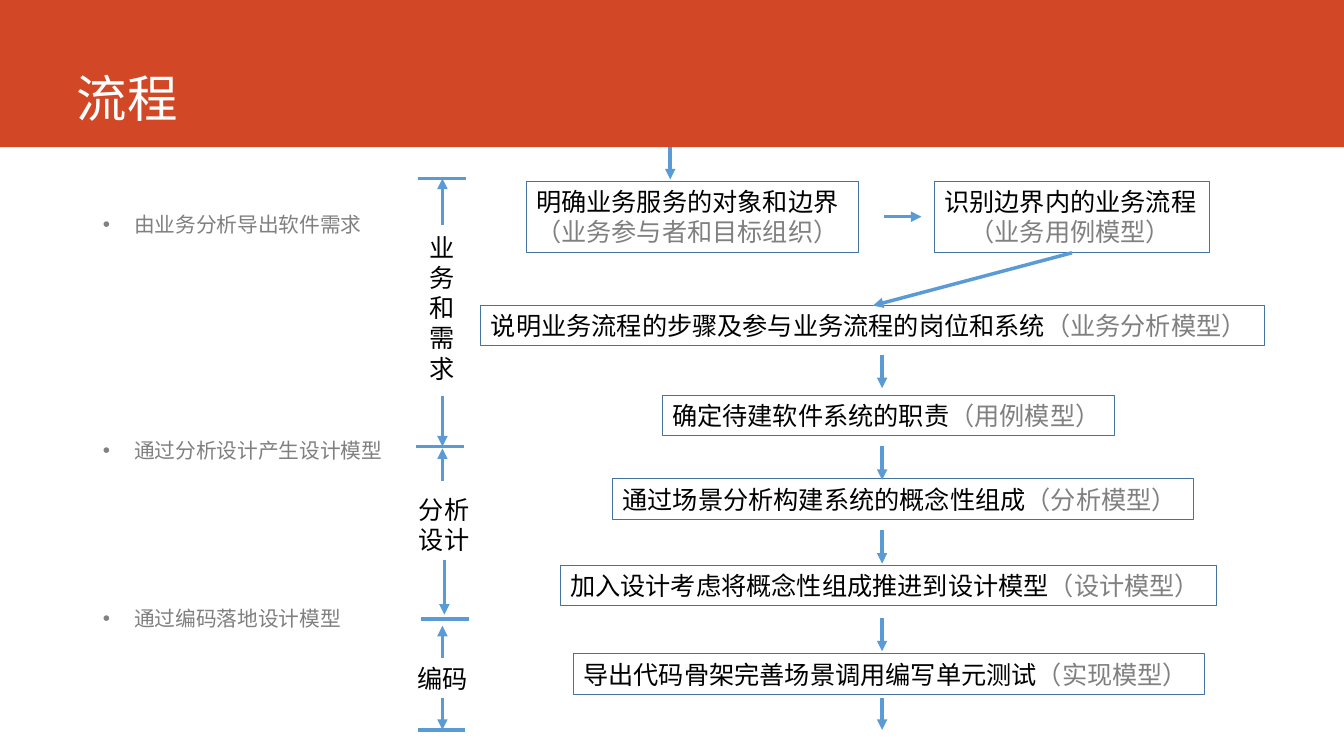
"""Build the slide that shows the process from business analysis to coding."""
from lxml import etree
from pptx import Presentation
from pptx.dml.color import RGBColor
from pptx.enum import shapes, text
from pptx.oxml import ns
from pptx.util import Cm, Pt

COLOURS = {"banner": "D24726", "title": "FFFFFF", "muted": "808080",
           "ink": "000000", "outline": "43739E", "arrow": "5B9BD5"}
CJK = "Noto Sans CJK SC"
FIT = {"word_wrap": False, "auto_size": text.MSO_AUTO_SIZE.SHAPE_TO_FIT_TEXT,
       "vertical_anchor": text.MSO_ANCHOR.TOP}


def write(paragraph, wording, colour, size, latin, east_asian):
    run = paragraph.add_run()
    run.text = wording
    run.font.size = Pt(size)
    run.font.color.rgb = RGBColor.from_string(COLOURS[colour])
    run.font.name = latin
    etree.SubElement(run.font._element, ns.qn("a:ea"), typeface=east_asian)


def draw_line(x1, y1, x2, y2, arrow=True):
    line = slide.shapes.add_connector(
        shapes.MSO_CONNECTOR.STRAIGHT, Cm(x1), Cm(y1), Cm(x2), Cm(y2))
    line.line.color.rgb = RGBColor.from_string(COLOURS["arrow"])
    line.line.width = Pt(2.5)
    if arrow:
        etree.SubElement(line.line._get_or_add_ln(), ns.qn("a:tailEnd"), type="triangle")
    etree.SubElement(line._element.spPr, ns.qn("a:effectLst"))
    return line


deck = Presentation()
deck.slide_width, deck.slide_height = Cm(33.87), Cm(19.05)
slide = deck.slides.add_slide(deck.slide_layouts[1])
title, goals = slide.placeholders

banner = slide.shapes.add_shape(
    shapes.MSO_SHAPE.RECTANGLE, 0, 0, deck.slide_width, Cm(3.71))
banner.shadow.inherit = False
banner.fill.solid()
banner.fill.fore_color.rgb = RGBColor.from_string(COLOURS["banner"])
banner.line.fill.background()
title._element.addprevious(banner._element)

for part, box, anchor in (
    (title, (1.68, 0, 29.87, 3.35), text.MSO_ANCHOR.BOTTOM),
    (goals, (2.34, 5.08, 13.54, 12.34), text.MSO_ANCHOR.TOP),
):
    part.left, part.top, part.width, part.height = map(Cm, box)
    part.text_frame.vertical_anchor = anchor
    part.text_frame.auto_size = text.MSO_AUTO_SIZE.NONE

heading = title.text_frame.paragraphs[0]
heading.alignment = text.PP_ALIGN.LEFT
write(heading, "流程", "title", 36, CJK, CJK)

goals.text_frame.margin_top = Cm(0.25)
for index, (goal, gap) in enumerate((
    ("由业务分析导出软件需求", 0),
    ("通过分析设计产生设计模型", 144),
    ("通过编码落地设计模型", 102),
)):
    frame = goals.text_frame
    item = frame.add_paragraph() if index else frame.paragraphs[0]
    item.line_spacing = 1.0
    item.space_before, item.space_after = Pt(gap), Pt(0)
    properties = item._p.get_or_add_pPr()
    properties.set("marL", str(Cm(0.79)))
    properties.set("indent", str(Cm(-0.79)))
    etree.SubElement(properties, ns.qn("a:buFont"), typeface="Arial")
    etree.SubElement(properties, ns.qn("a:buChar"), char="•")
    write(item, goal, "muted", 14.8, CJK, CJK)

steps = []
for left, top, width, height, action, model in (
    (13.26, 4.57, 8.38, 1.8, "明确业务服务的对象和边界", "（业务参与者和目标组织）"),
    (23.55, 4.57, 6.93, 1.8, "识别边界内的业务流程", "（业务用例模型）"),
    (12.12, 7.7, 19.76, 1.02, "说明业务流程的步骤及参与业务流程的岗位和系统", "（业务分析模型）"),
    (16.69, 9.96, 11.4, 1.02, "确定待建软件系统的职责", "（用例模型）"),
    (15.44, 12.07, 14.63, 1.02, "通过场景分析构建系统的概念性组成", "（分析模型）"),
    (14.12, 14.25, 16.54, 1.02, "加入设计考虑将概念性组成推进到设计模型", "（设计模型）"),
    (14.45, 16.48, 15.9, 1.02, "导出代码骨架完善场景调用编写单元测试", "（实现模型）"),
):
    step = slide.shapes.add_shape(
        shapes.MSO_SHAPE.RECTANGLE, Cm(left), Cm(top), Cm(width), Cm(height))
    step.shadow.inherit = False
    step.fill.background()
    step.line.color.rgb = RGBColor.from_string(COLOURS["outline"])
    step.line.width = Pt(0.75)
    for key, value in FIT.items():
        setattr(step.text_frame, key, value)
    action_line = model_line = step.text_frame.paragraphs[0]
    action_line.alignment = text.PP_ALIGN.LEFT
    if height > 1.5:
        model_line = step.text_frame.add_paragraph()
        model_line.alignment = text.PP_ALIGN.CENTER if steps else text.PP_ALIGN.LEFT
    write(action_line, action, "ink", 18, "Lato", "Lato")
    write(model_line, model, "muted", 18, "Lato", "Lato")
    steps.append(step)

draw_line(22.28, 5.46, 23.22, 5.46)
turn = draw_line(27.02, 6.37, 22, 7.7)
turn.begin_connect(steps[1], 2)
turn.end_connect(steps[2], 0)

for x, start, end in (
    (16.89, 3.71, 4.52), (22.23, 8.94, 9.78), (22.23, 11.25, 12.09),
    (22.23, 13.36, 14.2), (22.23, 15.57, 16.41), (22.23, 17.6, 18.39),
    (11.15, 5.66, 4.5), (11.15, 9.98, 11.25), (11.15, 12.12, 11.3),
    (11.2, 14.12, 15.49), (11.15, 16.59, 15.77), (11.15, 17.6, 18.39),
):
    draw_line(x, start, x, end)

for left, y in ((10.54, 4.5), (10.49, 11.25), (10.61, 15.6), (10.53, 18.39)):
    draw_line(left + 1.2, y, left, y, arrow=False)

for left, top, width, height, rows in (
    (10.57, 5.72, 1.14, 4.11, "业务和需求"),
    (10.31, 12.32, 1.8, 1.8, ("分析", "设计")),
    (10.26, 16.59, 1.8, 1.02, ("编码",)),
):
    stage = slide.shapes.add_textbox(Cm(left), Cm(top), Cm(width), Cm(height))
    for key, value in FIT.items():
        setattr(stage.text_frame, key, value)
    for index, row in enumerate(rows):
        frame = stage.text_frame
        paragraph = frame.add_paragraph() if index else frame.paragraphs[0]
        write(paragraph, row, "ink", 18, "Arial", "Lato")

deck.save("out.pptx")
